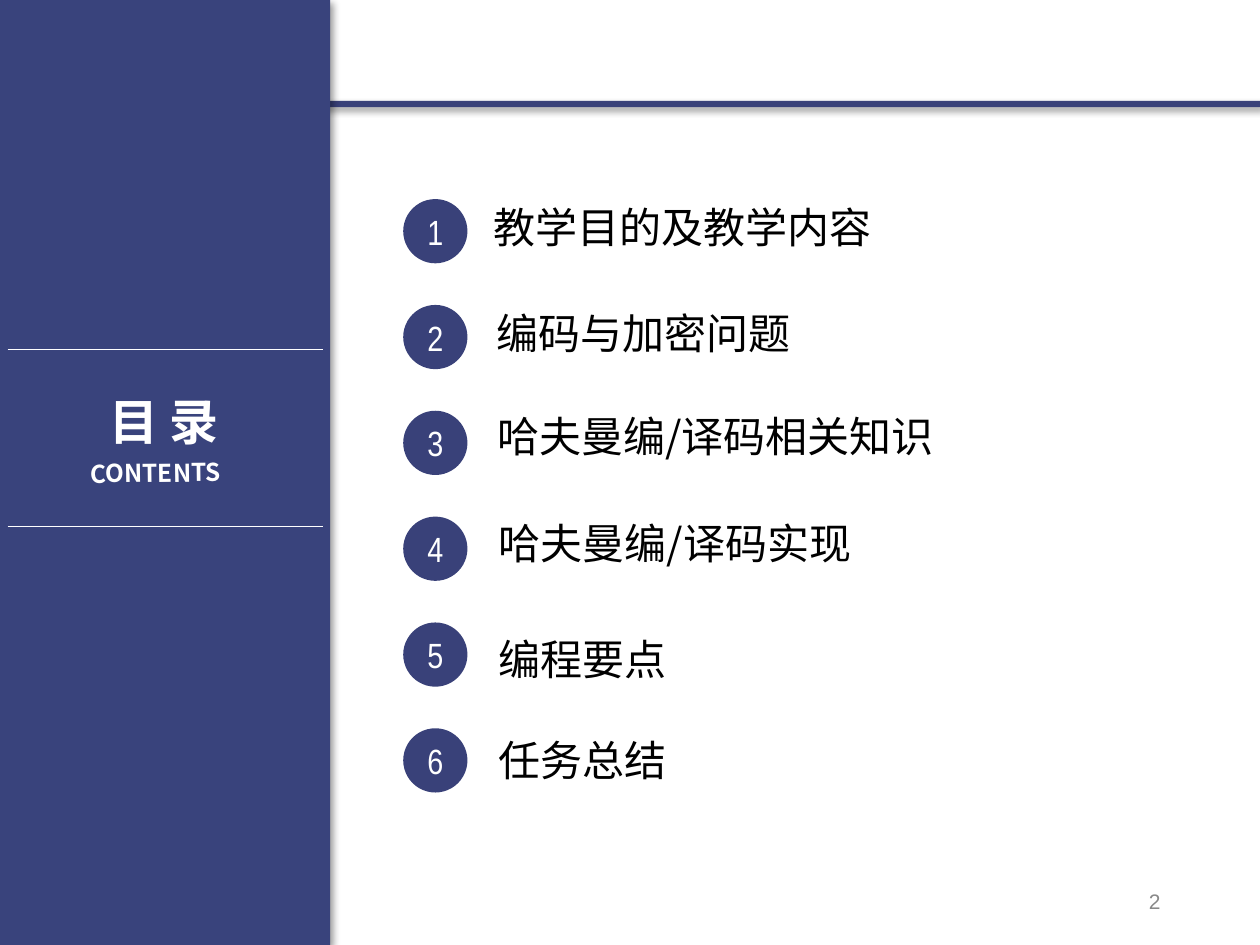
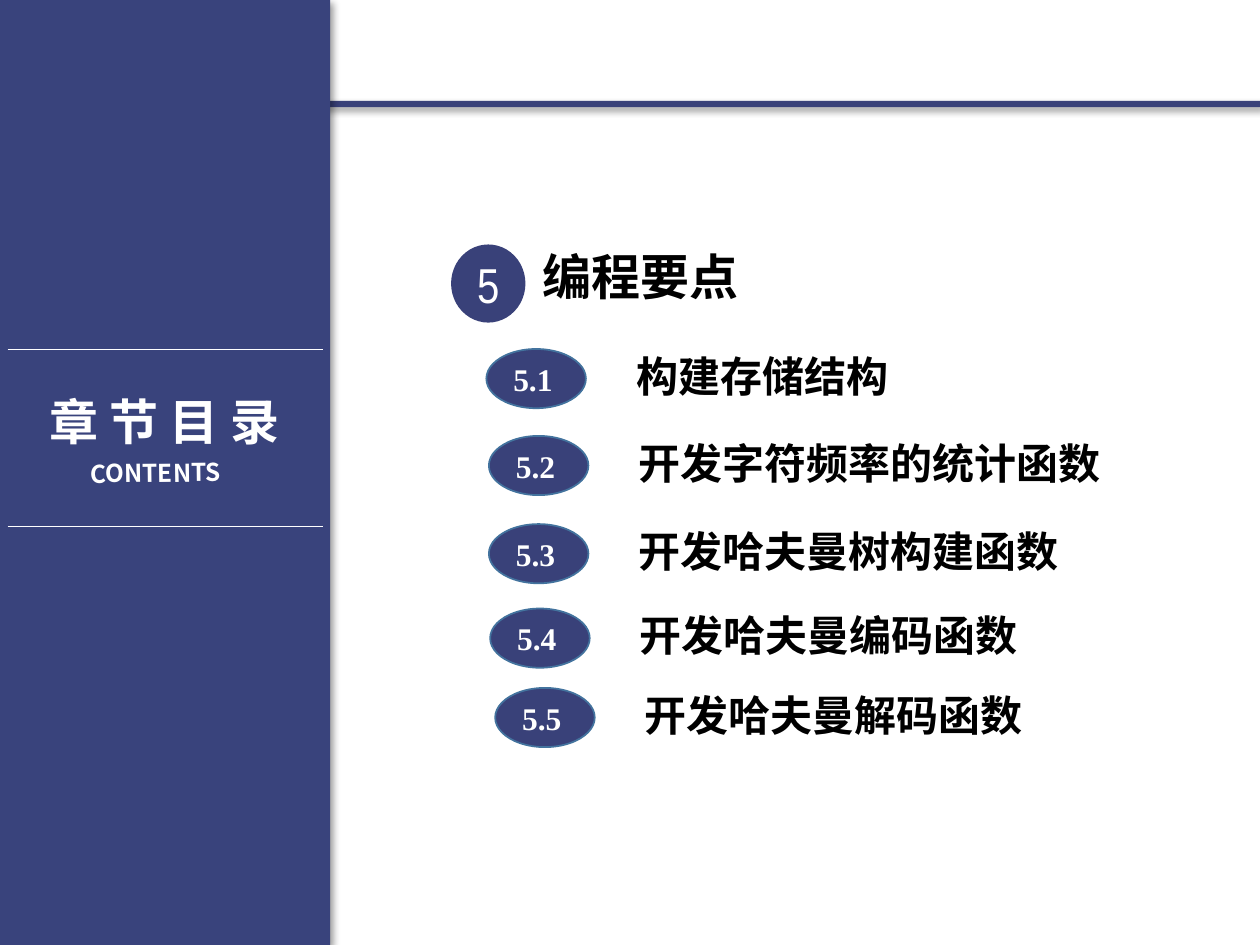
from lxml.etree import SubElement
from pptx import Presentation
from pptx.dml.color import RGBColor
from pptx.enum.shapes import MSO_CONNECTOR, MSO_SHAPE
from pptx.enum.text import MSO_ANCHOR, MSO_AUTO_SIZE, PP_ALIGN
from pptx.oxml.ns import qn
from pptx.util import Inches, Pt

COLOURS = {
    "panel": "39437C",
    "accent": "394179",
    "badge_edge": "43739E",
    "white": "FFFFFF",
    "black": "000000",
    "grey": "898989",
}
CJK = "Noto Sans CJK SC"
STYLES = {
    "title": {"size": Pt(28), "name": CJK, "bold": True, "colour": "white"},
    "subtitle": {"size": Pt(14), "name": CJK, "bold": True, "colour": "white"},
    "item": {"size": Pt(24), "name": CJK, "bold": False, "colour": "black"},
    "section": {"size": Pt(28), "name": CJK, "bold": True, "colour": "black"},
    "subitem": {"size": Pt(24), "name": CJK, "bold": True, "colour": "black"},
    "number": {"size": Pt(20), "name": "Arial Narrow", "colour": "white"},
    "section_number": {"size": Pt(28), "name": "Arial Narrow", "colour": "white"},
    "badge": {"size": Pt(18), "name": "Times New Roman", "bold": True, "colour": "white"},
    "page": {"size": Pt(12), "name": "Arial", "colour": "grey"},
}
CHAPTERS = [
    ("教学目的及教学内容", 3.82, 1.55),
    ("编码与加密问题", 3.84, 2.39),
    ("哈夫曼编/译码相关知识", 3.85, 3.21),
    ("哈夫曼编/译码实现", 3.86, 4.06),
    ("编程要点", 3.86, 4.98),
    ("任务总结", 3.86, 5.78),
]
SECTIONS = [
    ("构建存储结构", 3.86, 2.77),
    ("开发字符频率的统计函数", 3.88, 3.46),
    ("开发哈夫曼树构建函数", 3.88, 4.16),
    ("开发哈夫曼编码函数", 3.89, 4.83),
    ("开发哈夫曼解码函数", 3.93, 5.46),
]


def colour(name):
    """Return the named colour."""
    return RGBColor.from_string(COLOURS[name])


def inches(box):
    """Turn a box of plain numbers into lengths."""
    return [Inches(value) for value in box]


def write(shape, text, style, align=PP_ALIGN.LEFT, anchor=MSO_ANCHOR.TOP, **frame_format):
    """Put one formatted line of text into a shape."""
    frame = shape.text_frame
    settings = {"word_wrap": True, "auto_size": MSO_AUTO_SIZE.NONE, "vertical_anchor": anchor}
    for name, value in {**settings, **frame_format}.items():
        setattr(frame, name, value)
    paragraph = frame.paragraphs[0]
    paragraph.alignment = align
    run = paragraph.add_run()
    run.text = text
    for name, value in STYLES[style].items():
        if name == "colour":
            run.font.color.rgb = colour(value)
        else:
            setattr(run.font, name, value)
    SubElement(run.font._element, qn("a:ea"), typeface=STYLES[style]["name"])


def add_text(slide, box, text, style, **text_format):
    """Add a text box with one line."""
    shape = slide.shapes.add_textbox(*inches(box))
    write(shape, text, style, **text_format)
    return shape


def add_filled(slide, kind, box, fill, edge=None):
    """Add a flat shape, outlined only when an edge colour is given."""
    shape = slide.shapes.add_shape(kind, *inches(box))
    shape.shadow.inherit = False
    shape.fill.solid()
    shape.fill.fore_color.rgb = colour(fill)
    if edge:
        shape.line.color.rgb = colour(edge)
        shape.line.width = Pt(1)
    else:
        shape.line.fill.background()
    return shape


def add_band(slide, box, fill):
    """Add a rectangle with a soft shadow to the lower right."""
    band = add_filled(slide, MSO_SHAPE.RECTANGLE, box, fill)
    effects = band._element.spPr.find(qn("a:effectLst"))
    shadow = SubElement(effects, qn("a:outerShdw"), blurRad=str(Pt(4)), dist=str(Pt(3)),
                        dir="2700000", algn="tl", rotWithShape="0")
    shade = SubElement(shadow, qn("a:srgbClr"), val=COLOURS["black"])
    SubElement(shade, qn("a:alpha"), val="40000")


def add_rule(slide, left, top, width):
    """Add a thin white horizontal line."""
    rule = slide.shapes.add_connector(
        MSO_CONNECTOR.STRAIGHT, *inches((left, top, left + width, top)))
    rule.line.color.rgb = colour("white")
    rule.line.width = Pt(0.5)
    SubElement(rule._element.spPr, qn("a:effectLst"))


def add_side_panel(slide, title_text, left, top, width, height):
    """Draw the side panel with its title between two rules."""
    add_band(slide, (left, top, width, height), "panel")
    for rule_top in (2.77, 4.18):
        add_rule(slide, left + 0.07, top + rule_top, 2.5)
    title = slide.shapes.title
    title_box = inches((left + 0.13, top + 3.06, 2.37, 0.57))
    for name, value in zip(("left", "top", "width", "height"), title_box):
        setattr(title, name, value)
    write(title, title_text, "title", align=PP_ALIGN.CENTER, word_wrap=False)
    slide.shapes._spTree.append(title._element)
    subtitle = add_text(slide, (left + 0.02, top + 3.55, 2.45, 0.4), "CONTENTS", "subtitle",
                        align=PP_ALIGN.CENTER, anchor=MSO_ANCHOR.MIDDLE)
    subtitle.rotation = 359.3


def add_contents_slide(presentation, title_text):
    """Add a slide with the shared top band and side panel."""
    slide = presentation.slides.add_slide(presentation.slide_layouts[5])
    add_band(slide, (-0.01, 0.8, 10.01, 0.05), "accent")
    add_side_panel(slide, title_text, -0.01, 0, 2.63, 7.5)
    return slide


def add_number_circle(slide, box, number, style):
    """Draw a filled circle with a centred number."""
    circle = add_filled(slide, MSO_SHAPE.OVAL, box, "accent")
    write(circle, str(number), style, align=PP_ALIGN.CENTER, anchor=MSO_ANCHOR.MIDDLE,
          margin_left=0, margin_right=0, margin_top=0, margin_bottom=0)


def add_chapters(slide, left, top, pitch):
    """List the numbered chapters down the slide."""
    for index, (text, text_left, text_top) in enumerate(CHAPTERS):
        add_number_circle(slide, (left, top + index * pitch, 0.51, 0.51), index + 1, "number")
        add_text(slide, (text_left, text_top, 4.5, 0.5), text, "item")


def add_section(slide, number, heading, left, top):
    """Draw the chapter heading and its numbered sections."""
    add_number_circle(slide, (left, top, 0.59, 0.62), number, "section_number")
    add_text(slide, (left + 0.63, top - 0.03, 5, 0.57), heading, "section")
    for index, (text, badge_left, badge_top) in enumerate(SECTIONS, 1):
        badge = add_filled(slide, MSO_SHAPE.OVAL, (badge_left, badge_top, 0.79, 0.47),
                           "accent", "badge_edge")
        write(badge, f"{number}.{index}", "badge", anchor=MSO_ANCHOR.MIDDLE)
        add_text(slide, (badge_left + 1.09, badge_top - 0.04, 4, 0.5), text, "subitem")


def main():
    """Build both contents slides and save them."""
    presentation = Presentation()
    presentation.slide_width, presentation.slide_height = inches((10, 7.5))
    overview = add_contents_slide(presentation, "目 录")
    add_chapters(overview, 3.2, 1.58, 0.84)
    add_text(overview, (7.06, 6.95, 2.25, 0.4), "2", "page",
             align=PP_ALIGN.RIGHT, anchor=MSO_ANCHOR.MIDDLE)
    chapter = add_contents_slide(presentation, "章 节 目 录")
    add_section(chapter, 5, "编程要点", 3.58, 1.94)
    presentation.save("out.pptx")


if __name__ == "__main__":
    main()
